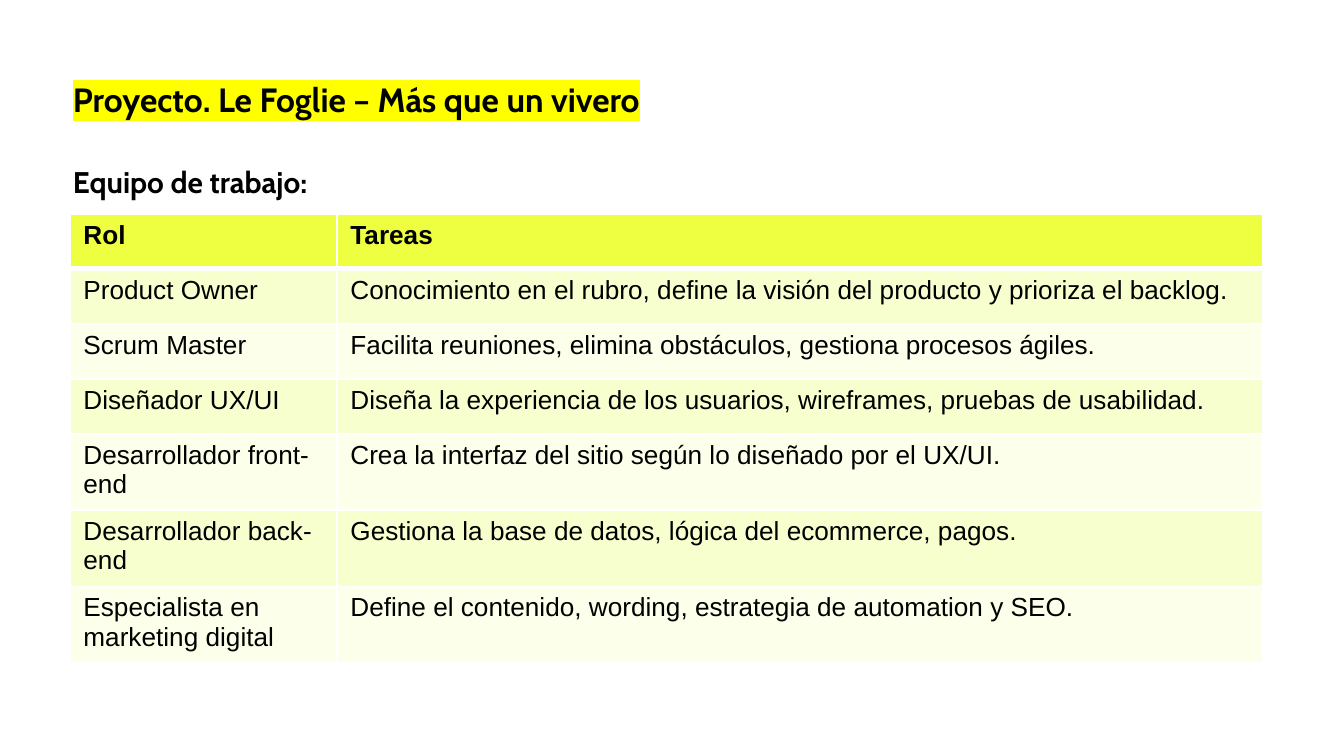
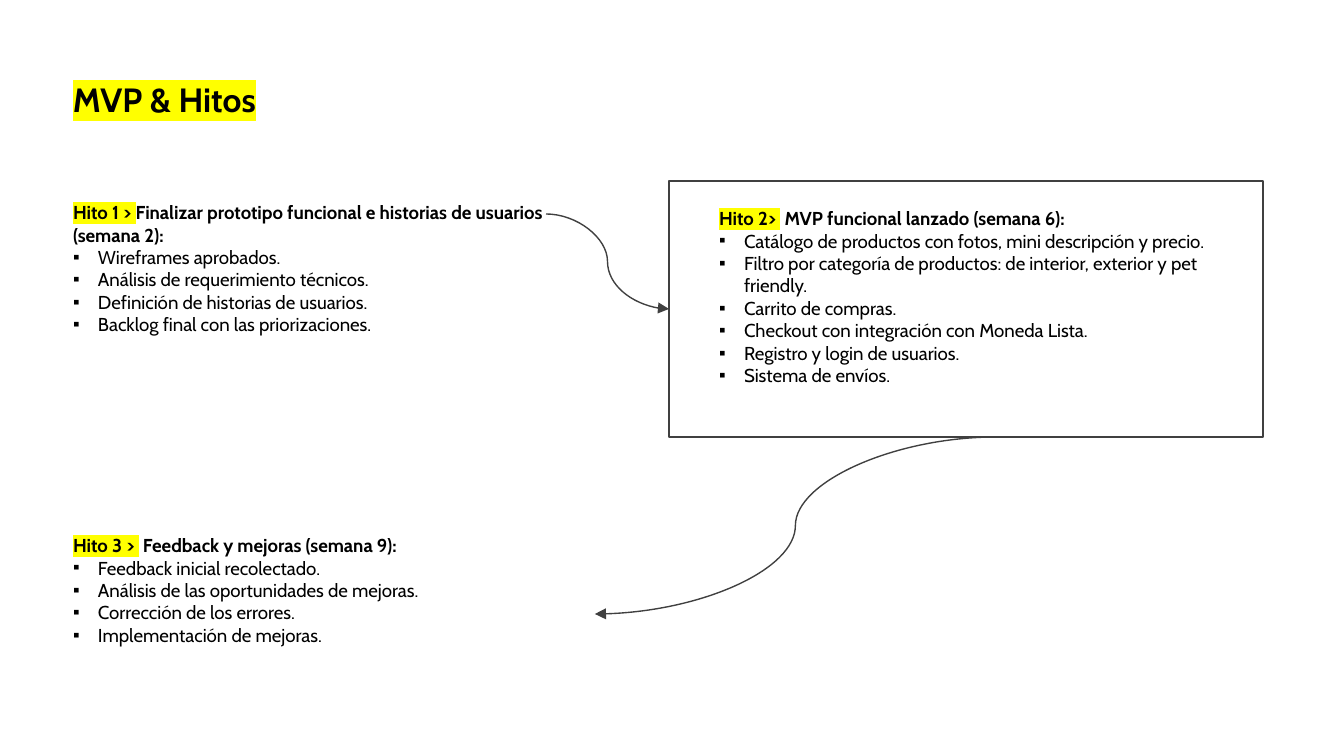
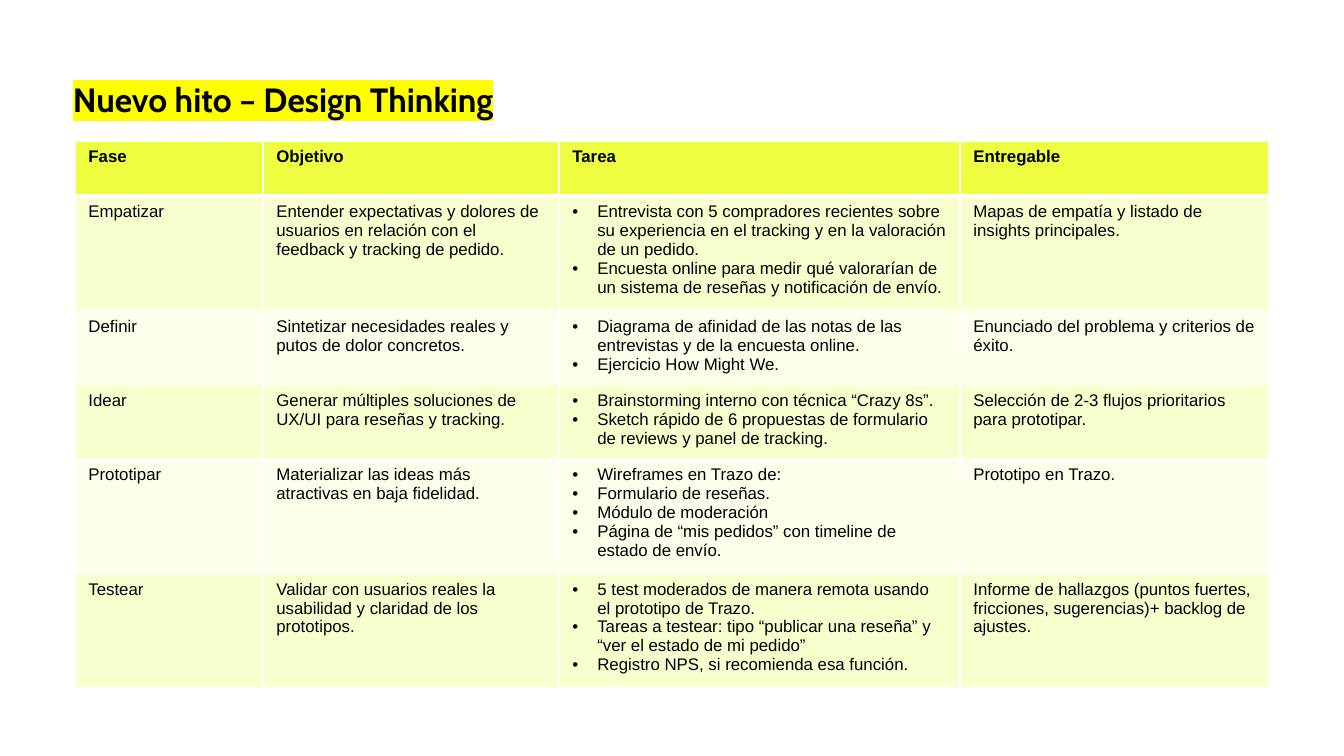
from lxml import etree
from pptx import Presentation
from pptx.dml.color import RGBColor
from pptx.enum.shapes import MSO_CONNECTOR, MSO_SHAPE
from pptx.enum.text import MSO_ANCHOR, MSO_AUTO_SIZE
from pptx.oxml.ns import qn
from pptx.util import Emu, Pt

CURVE = MSO_CONNECTOR.CURVE
RECT = MSO_SHAPE.RECTANGLE
TOP = MSO_ANCHOR.TOP
GROW = MSO_AUTO_SIZE.SHAPE_TO_FIT_TEXT

SCALE = 914400 / 134.4
WIDE, HIGH = 1344, 756
BLACK, WHITE, GRAY = "000000", "FFFFFF", "404040"
MARK, HEAD = "FFFF00", "EEFF41"
BANDS = ["F8FFCF", "FCFFE9"]
HEADFONT, CELLFONT = "Cabin", "Arial"
PAD, INDENT, ROW = 13, 25, 55
TITLE = (60, 66, 750, 67)

TEAM = [
    ["Rol", "Tareas"],
    ["Product Owner", "Conocimiento en el rubro, define la visión del producto y prioriza el backlog."],
    ["Scrum Master", "Facilita reuniones, elimina obstáculos, gestiona procesos ágiles."],
    ["Diseñador UX/UI", "Diseña la experiencia de los usuarios, wireframes, pruebas de usabilidad."],
    ["Desarrollador front-end", "Crea la interfaz del sitio según lo diseñado por el UX/UI."],
    ["Desarrollador back-end", "Gestiona la base de datos, lógica del ecommerce, pagos."],
    ["Especialista en marketing digital", "Define el contenido, wording, estrategia de automation y SEO."],
]

GOALS = [
    ((60, 188, 535, 163), "Hito 1 > ", "Finalizar prototipo funcional e historias de usuarios (semana 2):", [
        "Wireframes aprobados.",
        "Análisis de requerimiento técnicos.",
        "Definición de historias de usuarios.",
        "Backlog final con las priorizaciones."]),
    ((706, 194, 535, 231), "Hito 2> ", " MVP funcional lanzado (semana 6):", [
        "Catálogo de productos con fotos, mini descripción y precio.",
        "Filtro por categoría de productos: de interior, exterior y pet friendly.",
        "Carrito de compras.",
        "Checkout con integración con Moneda Lista.",
        "Registro y login de usuarios.",
        "Sistema de envíos."]),
    ((60, 521, 535, 185), "Hito 3 > ", " Feedback y mejoras (semana 9):", [
        "Feedback inicial recolectado.",
        "Análisis de las oportunidades de mejoras.",
        "Corrección de los errores.",
        "Implementación de mejoras."]),
]

PHASES = [
    ["Fase", "Objetivo", "Tarea", "Entregable"],
    ["Empatizar",
     "Entender expectativas y dolores de usuarios en relación con el feedback y tracking de pedido.",
     ["Entrevista con 5 compradores recientes sobre su experiencia en el tracking y en la valoración de un pedido.",
      "Encuesta online para medir qué valorarían de un sistema de reseñas y notificación de envío."],
     "Mapas de empatía y listado de insights principales."],
    ["Definir",
     "Sintetizar necesidades reales y putos de dolor concretos.",
     ["Diagrama de afinidad de las notas de las entrevistas y de la encuesta online.",
      "Ejercicio How Might We."],
     "Enunciado del problema y criterios de éxito."],
    ["Idear",
     "Generar múltiples soluciones de UX/UI para reseñas y tracking.",
     ["Brainstorming interno con técnica “Crazy 8s”.",
      "Sketch rápido de 6 propuestas de formulario de reviews y panel de tracking."],
     "Selección de 2-3 flujos prioritarios para prototipar."],
    ["Prototipar",
     "Materializar las ideas más atractivas en baja fidelidad.",
     ["Wireframes en Trazo de:",
      "Formulario de reseñas.",
      "Módulo de moderación",
      "Página de “mis pedidos” con timeline de estado de envío."],
     "Prototipo en Trazo."],
    ["Testear",
     "Validar con usuarios reales la usabilidad y claridad de los prototipos.",
     ["5 test moderados de manera remota usando el prototipo de Trazo.",
      "Tareas a testear: tipo “publicar una reseña” y “ver el estado de mi pedido”",
      "Registro NPS, si recomienda esa función."],
     "Informe de hallazgos (puntos fuertes, fricciones, sugerencias)+ backlog de ajustes."],
]


def px(num):
    return Emu(round(num * SCALE))


def paint(code):
    return RGBColor.from_string(code)


def node(root, tag, **attrs):
    return etree.SubElement(root, qn(tag), attrs)


def add_run(para, text, size, font, bold=False, mark=None):
    run = para.add_run()
    run.text = text
    run.font.size = Pt(size)
    run.font.bold = bold
    run.font.color.rgb = paint(BLACK)
    run.font.name = font
    if mark:
        light = etree.Element(qn("a:highlight"))
        node(light, "a:srgbClr", val=mark)
        run.font.fill._xPr.find(qn("a:solidFill")).addnext(light)


def bullet(para, char):
    props = para._p.get_or_add_pPr()
    props.set("marL", str(px(INDENT)))
    props.set("indent", str(-px(INDENT)))
    node(node(props, "a:buClr"), "a:srgbClr", val=BLACK)
    node(props, "a:buFont", typeface=CELLFONT)
    node(props, "a:buChar", char=char)


def add_text(slide, box):
    frame = slide.shapes.add_textbox(*map(px, box)).text_frame
    frame.word_wrap = True
    frame.auto_size = GROW
    frame.vertical_anchor = TOP
    frame.margin_left = frame.margin_right = px(PAD)
    frame.margin_top = frame.margin_bottom = px(PAD)
    return frame


def add_page(deck, title):
    slide = deck.slides.add_slide(deck.slide_layouts[6])
    add_run(add_text(slide, TITLE).paragraphs[0], title, 18, HEADFONT, True, MARK)
    return slide


def border(cell, row):
    props = cell._tc.get_or_add_tcPr()
    sizes = {"L": 1, "R": 1, "T": 3 if row == 1 else 1, "B": 3 if row == 0 else 1}
    for spot, (side, size) in enumerate(sizes.items()):
        line = etree.Element(qn("a:ln" + side), w=str(Pt(size)))
        node(node(line, "a:solidFill"), "a:srgbClr", val=WHITE)
        props.insert(spot, line)


def fill_cell(cell, row, data, size):
    cell.fill.solid()
    cell.fill.fore_color.rgb = paint(BANDS[(row - 1) % 2] if row else HEAD)
    border(cell, row)
    frame = cell.text_frame
    items = data if isinstance(data, list) else [data]
    for spot, item in enumerate(items):
        para = frame.add_paragraph() if spot else frame.paragraphs[0]
        if items is data:
            bullet(para, "•")
        add_run(para, item, size, CELLFONT, row == 0)


def add_grid(slide, left, top, widths, rows, size):
    box = (left, top, sum(widths), ROW * len(rows))
    table = slide.shapes.add_table(len(rows), len(widths), *map(px, box)).table
    table.horz_banding = False
    for col, width in zip(table.columns, widths):
        col.width = px(width)
    for row, line in enumerate(rows):
        for col, data in enumerate(line):
            fill_cell(table.cell(row, col), row, data, size)


def add_goal(slide, box, mark, text, items):
    frame = add_text(slide, box)
    para = frame.paragraphs[0]
    add_run(para, mark, 10, HEADFONT, True, MARK)
    add_run(para, text, 10, HEADFONT, True)
    for item in items:
        para = frame.add_paragraph()
        bullet(para, "▪")
        add_run(para, item, 10, HEADFONT)


def add_frame(slide, box):
    shape = slide.shapes.add_shape(RECT, *map(px, box))
    shape.shadow.inherit = False
    shape.fill.background()
    shape.line.color.rgb = paint(GRAY)
    shape.line.width = Pt(1)


def add_arrow(slide, start, end):
    arrow = slide.shapes.add_connector(CURVE, *map(px, start + end))
    arrow.line.color.rgb = paint(GRAY)
    arrow.line.width = Pt(0.75)
    node(arrow.line._get_or_add_ln(), "a:tailEnd", type="triangle")
    node(arrow._element.spPr, "a:effectLst")


def team_page(deck):
    slide = add_page(deck, "Proyecto. Le Foglie – Más que un vivero")
    para = add_text(slide, (60, 151, 1211, 99)).paragraphs[0]
    add_run(para, "Equipo de trabajo:", 16, HEADFONT, True)
    add_grid(slide, 70, 214, [267, 926], TEAM, 14)


def goal_page(deck):
    slide = add_page(deck, "MVP & Hitos")
    left, top, width, height = box = (669, 181, 594, 256)
    add_frame(slide, box)
    for goal in GOALS:
        add_goal(slide, *goal)
    add_arrow(slide, (546, 214), (left, top + height // 2))
    add_arrow(slide, (996, top + height), (595, 614))


def phase_page(deck):
    slide = add_page(deck, "Nuevo hito – Design Thinking")
    add_grid(slide, 75, 141, [188, 296, 401, 309], PHASES, 9)


def main():
    deck = Presentation()
    deck.slide_width, deck.slide_height = px(WIDE), px(HIGH)
    team_page(deck)
    goal_page(deck)
    phase_page(deck)
    deck.save("out.pptx")


if __name__ == "__main__":
    main()
